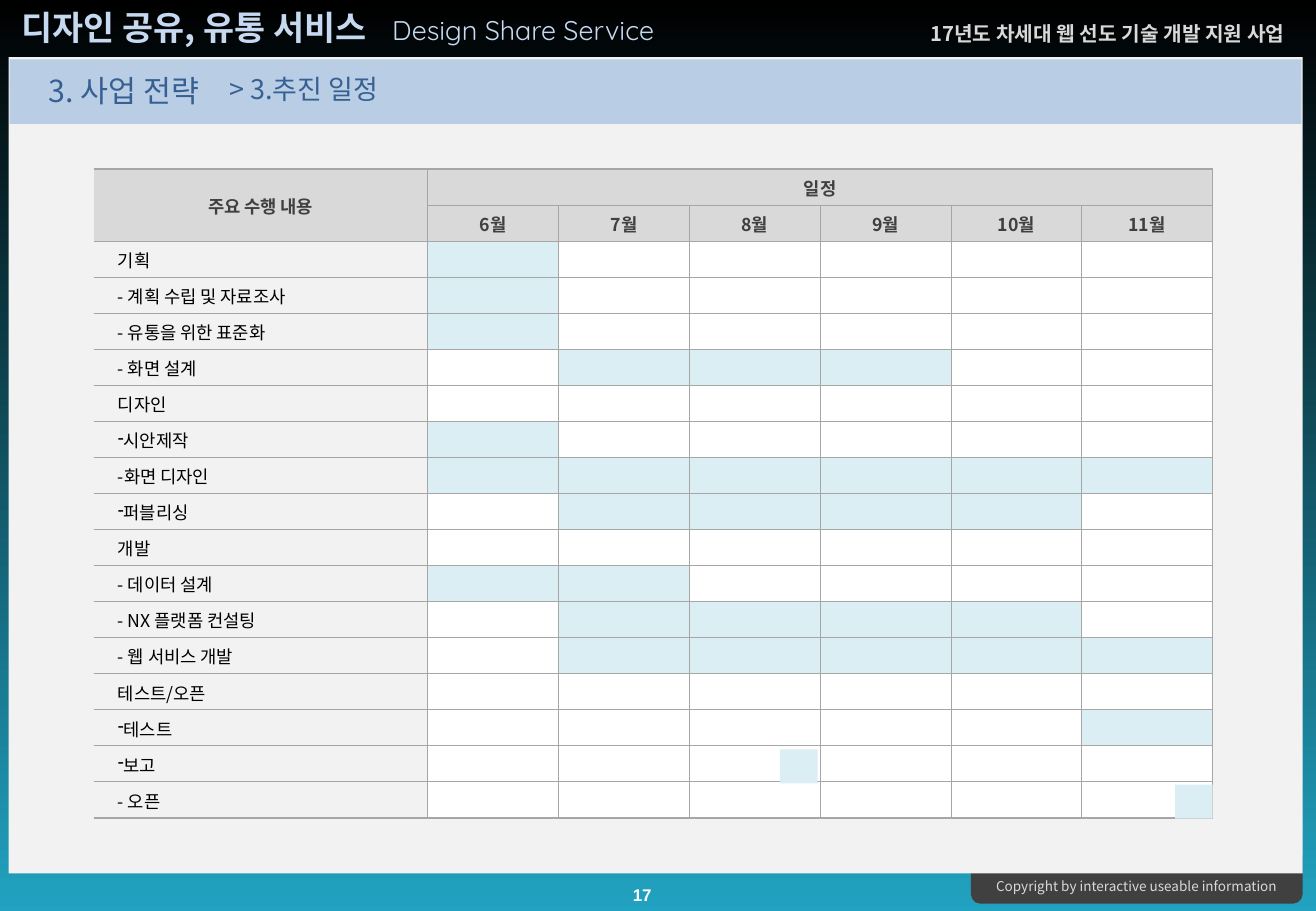
from dataclasses import dataclass

from lxml.etree import SubElement
from pptx import Presentation
from pptx.dml.color import RGBColor
from pptx.enum.shapes import MSO_SHAPE as SHAPE
from pptx.enum.text import MSO_ANCHOR as ANCHOR, MSO_AUTO_SIZE as AUTO, PP_ALIGN as ALIGN
from pptx.oxml.ns import qn
from pptx.util import Inches, Pt


@dataclass(frozen=True)
class Theme:
    body: str = "Noto Sans CJK KR"
    brand: str = "Quicksand"
    number: str = "Arial"
    black: str = "000000"
    white: str = "FFFFFF"
    teal: str = "21A3C1"
    dark: str = "404040"
    panel: str = "F2F2F2"
    band: str = "B9CDE5"
    heading: str = "376092"
    pale_blue: str = "C6D9F1"
    gray: str = "D9D9D9"
    rule: str = "A6A6A6"
    busy: str = "DBEEF4"
    brand_size: float = 20
    title_size: float = 18
    sub_size: float = 16
    label_size: float = 12
    table_size: float = 10.5
    page_size: float = 10
    small_size: float = 8
    thin: float = 0.5
    thick: float = 1.5


# Task, and the first and last busy month column (0 = none)
MONTHS = ["6월", "7월", "8월", "9월", "10월", "11월"]
TASKS = [
    ("기획", 1, 1),
    ("- 계획 수립 및 자료조사", 1, 1),
    ("- 유통을 위한 표준화", 1, 1),
    ("- 화면 설계", 2, 4),
    ("디자인", 0, 0),
    ("•시안제작", 1, 1),
    ("-화면 디자인", 1, 6),
    ("•퍼블리싱", 2, 5),
    ("개발", 0, 0),
    ("- 데이터 설계", 1, 2),
    ("- NX 플랫폼 컨설팅", 2, 5),
    ("- 웹 서비스 개발", 2, 6),
    ("테스트/오픈", 0, 0),
    ("•테스트", 6, 6),
    ("•보고", 0, 0),
    ("- 오픈", 0, 0),
]


class SlideBuilder:
    def __init__(self, prs, theme):
        self.theme = theme
        self.slide = prs.slides.add_slide(prs.slide_layouts[5])

    def fill_text(self, tf, text, size, color, font=None, bold=False, align=ALIGN.LEFT):
        p = tf.paragraphs[0]
        p.alignment = align
        if text.startswith("•"):  # dash bullet set tight against its text
            text = text[1:]
            pPr = p._p.get_or_add_pPr()
            pPr.set("marL", "0")
            pPr.set("indent", "0")
            SubElement(pPr, qn("a:buFontTx"))
            SubElement(pPr, qn("a:buChar"), char="-")
        r = p.add_run()
        r.text = text
        name = font or self.theme.body
        for key, value in {"size": Pt(size), "bold": bold, "name": name}.items():
            setattr(r.font, key, value)
        r.font.color.rgb = RGBColor.from_string(color)
        SubElement(r._r.get_or_add_rPr(), qn("a:ea"), typeface=name)

    def place(self, sp, box):
        for key, value in zip(("left", "top", "width", "height"), box):
            setattr(sp, key, Inches(value))

    def text(self, box, text, size, color, wrap=True, **style):
        sp = self.slide.shapes.add_textbox(*map(Inches, box))
        sp.text_frame.word_wrap = wrap
        self.fill_text(sp.text_frame, text, size, color, **style)

    def title(self, box, text, size, color):
        sp = self.slide.shapes.title
        self.place(sp, box)
        tf = sp.text_frame
        for key, value in {"word_wrap": True, "auto_size": AUTO.NONE,
                           "vertical_anchor": ANCHOR.TOP}.items():
            setattr(tf, key, value)
        self.fill_text(tf, text, size, color)
        self.slide.shapes._spTree.append(sp._element)  # bring above the band

    def shape(self, box, color, kind=SHAPE.RECTANGLE, end_color=None):
        sp = self.slide.shapes.add_shape(kind, *map(Inches, box))
        sp.shadow.inherit = False
        sp.line.fill.background()
        if end_color:
            sp.fill.gradient()
            sp.fill.gradient_angle = 270
            for stop, value in zip(sp.fill.gradient_stops, (color, end_color)):
                stop.color.rgb = RGBColor.from_string(value)
        else:
            sp.fill.solid()
            sp.fill.fore_color.rgb = RGBColor.from_string(color)

    def cell(self, cell, fill, edges, text="", inset=0.01, **style):
        t = self.theme
        for key, value in {"margin_left": inset, "margin_right": 0.01,
                           "margin_top": 0.01, "margin_bottom": 0}.items():
            setattr(cell, key, Inches(value))
        cell.vertical_anchor = ANCHOR.MIDDLE
        tcPr = cell._tc.get_or_add_tcPr()
        for side in "LRTB":
            width = edges.get(side, t.thin)
            ln = SubElement(tcPr, qn(f"a:ln{side}"), w=str(Pt(width)))
            if width:
                paint = SubElement(ln, qn("a:solidFill"))
                SubElement(paint, qn("a:srgbClr"), val=t.rule)
            else:
                SubElement(ln, qn("a:noFill"))
        cell.fill.solid()
        cell.fill.fore_color.rgb = RGBColor.from_string(fill)
        if text:
            self.fill_text(cell.text_frame, text, t.table_size, **style)
        else:
            SubElement(cell.text_frame.paragraphs[0]._p, qn("a:endParaRPr"),
                       sz=str(int(t.table_size * 100)))

    def schedule(self, box, task_width):
        t = self.theme
        rows, cols = len(TASKS) + 2, len(MONTHS) + 1
        table = self.slide.shapes.add_table(rows, cols, *map(Inches, box)).table
        table.first_row = table.horz_banding = False
        for row in table.rows:
            row.height = Inches(box[3] / rows)
        for i, col in enumerate(table.columns):
            col.width = Inches(task_width if i == 0 else (box[2] - task_width) / len(MONTHS))
        table.cell(0, 0).merge(table.cell(1, 0))
        table.cell(0, 1).merge(table.cell(0, cols - 1))

        header = [["주요 수행 내용", "일정"] + [""] * (cols - 2), [""] + MONTHS]
        for i in range(rows):
            for j in range(cols):
                edges = {"L": t.thin if j else 0,
                         "T": t.thin if i else t.thick,
                         "B": t.thick if i == rows - 1 else t.thin}
                cell = table.cell(i, j)
                if i < 2:
                    self.cell(cell, t.gray, edges, header[i][j],
                              color=t.dark, bold=True, align=ALIGN.CENTER)
                    continue
                task, first, last = TASKS[i - 2]
                if j == 0:
                    self.cell(cell, t.panel, edges, task, inset=0.2, color=t.black)
                else:
                    self.cell(cell, t.busy if first <= j <= last else t.white, edges)


def main():
    prs = Presentation()
    prs.slide_width, prs.slide_height = Inches(10.83), Inches(7.5)
    t = Theme()
    s = SlideBuilder(prs, t)

    # Backdrop, footer tab and content panel
    s.shape((0, 0, 10.83, 7.54), t.black, end_color=t.teal)
    s.shape((7.99, 6.97, 2.73, 0.47), t.dark, SHAPE.ROUNDED_RECTANGLE)
    s.text((7.97, 7.18, 2.77, 0.24), "Copyright by interactive useable information",
           t.small_size, t.gray, align=ALIGN.CENTER)
    s.shape((0.07, 0.47, 10.65, 6.72), t.panel)
    s.shape((0.08, 0.49, 10.63, 0.53), t.band)

    # Header and page number
    s.text((3.13, 0.06, 3.07, 0.37), "Design Share Service",
           t.sub_size, t.pale_blue, font=t.brand)
    s.text((0.08, 0.01, 4.33, 0.44), "디자인 공유, 유통 서비스",
           t.brand_size, t.pale_blue, bold=True)
    s.text((7.25, 0.13, 3.42, 0.3), "17년도 차세대 웹 선도 기술 개발 지원 사업",
           t.label_size, t.gray, bold=True, align=ALIGN.RIGHT)
    s.text((5.1, 7.23, 0.37, 0.27), "17", t.page_size, t.white, wrap=False,
           font=t.number, bold=True, align=ALIGN.CENTER)

    # Section title
    s.title((0.3, 0.54, 2.05, 0.4), "3. 사업 전략", t.title_size, t.heading)
    s.text((1.79, 0.55, 2.05, 0.37), "> 3.추진 일정", t.sub_size, t.heading)

    # Schedule with part-month markers
    s.schedule((0.77, 1.39, 9.21, 5.35), 2.75)
    for left, top in ((6.42, 6.17), (9.67, 6.46)):
        s.shape((left, top, 0.31, 0.28), t.busy)

    prs.save("out.pptx")


if __name__ == "__main__":
    main()
